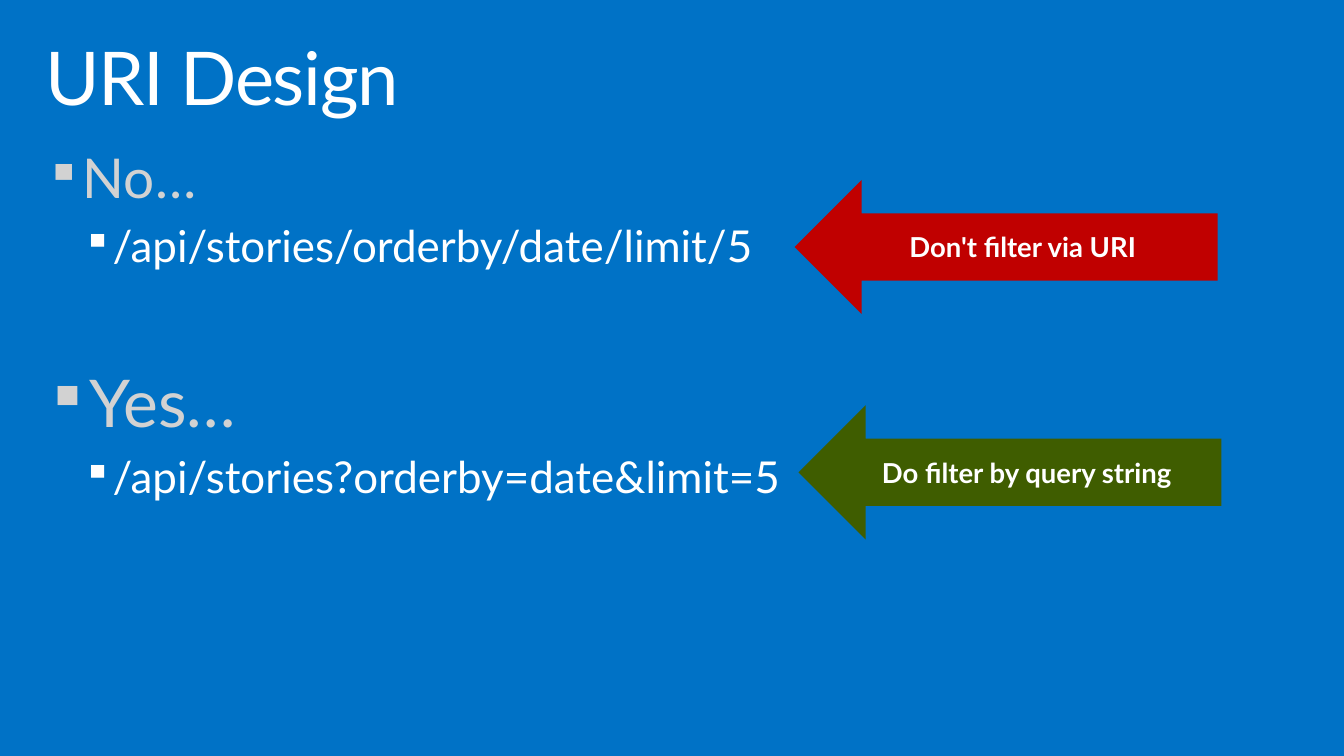
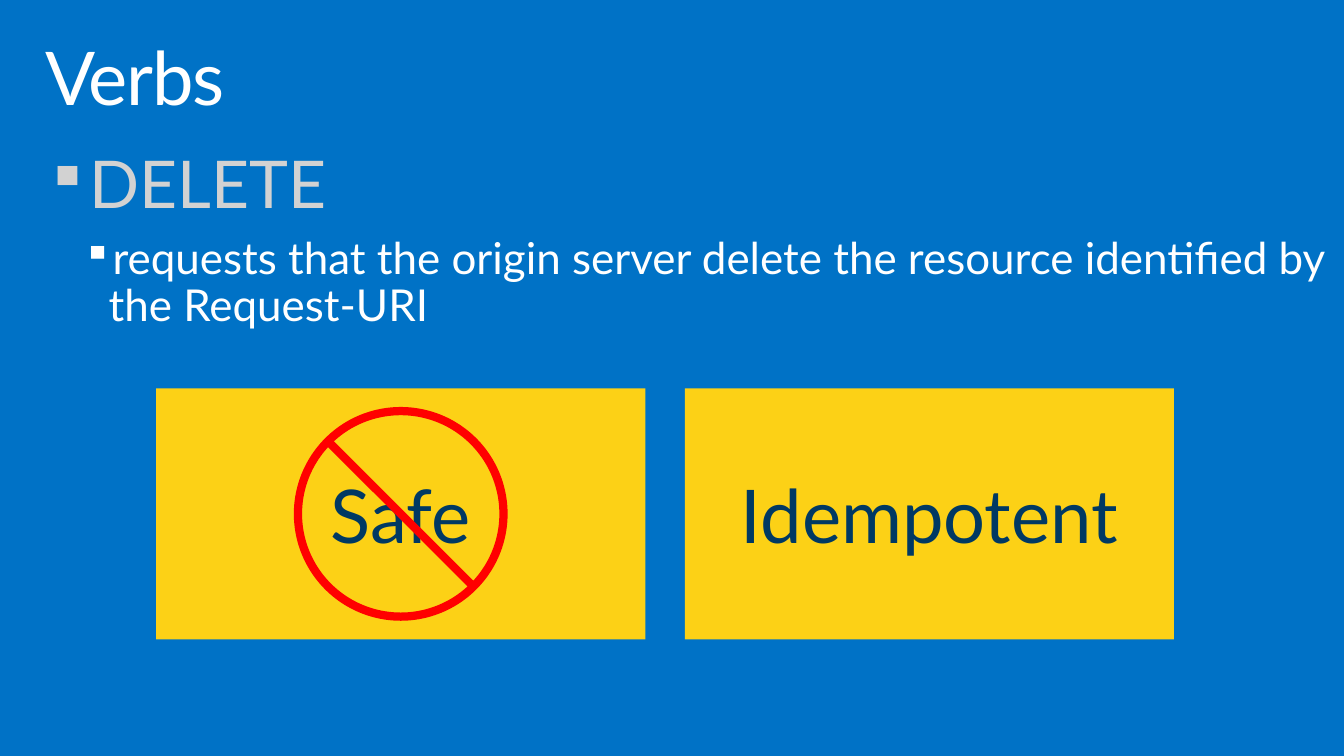
"""Build two slides on REST URI design and the DELETE verb."""
import math
from dataclasses import dataclass

from lxml import etree
from pptx import Presentation
from pptx.dml.color import RGBColor
from pptx.enum.shapes import MSO_CONNECTOR, MSO_SHAPE
from pptx.enum.text import MSO_ANCHOR, PP_ALIGN
from pptx.oxml.ns import qn
from pptx.util import Inches, Pt

RECTANGLE = MSO_SHAPE.RECTANGLE
LEFT_ARROW = MSO_SHAPE.LEFT_ARROW
OVAL = MSO_SHAPE.OVAL
STRAIGHT = MSO_CONNECTOR.STRAIGHT
TOP, MIDDLE = MSO_ANCHOR.TOP, MSO_ANCHOR.MIDDLE
LEFT, CENTER = PP_ALIGN.LEFT, PP_ALIGN.CENTER

SLIDE_WIDTH, SLIDE_HEIGHT = Inches(13.6), Inches(7.65)
COLUMN = SLIDE_WIDTH / 136
ROW = SLIDE_HEIGHT / 153
LEFT_COLUMN = 3


@dataclass(frozen=True)
class Theme:
    """Hold the colours, font and type sizes of the slides."""
    font: str = "Lato"
    background: str = "0072C6"
    white: str = "FFFFFF"
    heading: str = "D2D2D2"
    wrong: str = "C00000"
    right: str = "3F5D00"
    card: str = "FCD116"
    card_text: str = "003963"
    ban: str = "FF0000"
    display_size: int = 54
    heading_size: int = 48
    small_heading_size: int = 40
    detail_size: int = 32
    label_size: int = 20
    ban_width: int = 6
    line_spacing: float = 0.9
    space_before: int = 10
    section_space: int = 72


THEME = Theme()


def rgb(color):
    """Return a colour object for a hex string."""
    return RGBColor.from_string(color)


def grid_box(column, row, columns, rows):
    """Turn grid columns and rows into left, top, width and height."""
    return (round(column * COLUMN), round(row * ROW),
            round(columns * COLUMN), round(rows * ROW))


def set_frame(text_frame, horizontal, vertical, anchor):
    """Set wrapping, insets in inches and the vertical anchor."""
    text_frame.word_wrap = True
    text_frame.vertical_anchor = anchor
    text_frame.margin_left = text_frame.margin_right = Inches(horizontal)
    text_frame.margin_top = text_frame.margin_bottom = Inches(vertical)


def write_text(paragraph, text, size, color, bold=False, align=LEFT,
               line_spacing=None, space_before=0, tracking=None):
    """Write one formatted run into a paragraph."""
    paragraph.alignment = align
    paragraph.space_before = Pt(space_before)
    if line_spacing:
        paragraph.line_spacing = line_spacing
    run = paragraph.add_run()
    run.text = text
    font = run.font
    font.name, font.size, font.bold = THEME.font, Pt(size), bold
    font.color.rgb = rgb(color)
    if tracking is not None:
        run._r.get_or_add_rPr().set("spc", str(round(tracking * 100)))


def add_bullet(paragraph, color, indent, hanging):
    """Give a paragraph a square bullet and a hanging indent in inches."""
    properties = paragraph._p.get_or_add_pPr()
    properties.set("marL", str(Inches(indent)))
    properties.set("indent", str(-Inches(hanging)))
    bullet_color = etree.SubElement(properties, qn("a:buClr"))
    etree.SubElement(bullet_color, qn("a:srgbClr"), val=color)
    etree.SubElement(properties, qn("a:buSzPct"), val="90000")
    etree.SubElement(properties, qn("a:buChar"), char="▪")


def add_title_slide(presentation, title):
    """Add a blank slide with the shared background and title."""
    slide = presentation.slides.add_slide(presentation.slide_layouts[6])
    slide.background.fill.solid()
    slide.background.fill.fore_color.rgb = rgb(THEME.background)
    text_frame = slide.shapes.add_textbox(
        *grid_box(LEFT_COLUMN, 6.4, 130, 20)).text_frame
    set_frame(text_frame, 0.16, 0.1, TOP)
    write_text(text_frame.paragraphs[0], title, THEME.display_size, THEME.white,
               line_spacing=THEME.line_spacing, tracking=-1)
    return slide


def add_outline(slide, sections, rows):
    """Add headings, each with its size and one detail below it."""
    text_frame = slide.shapes.add_textbox(
        *grid_box(LEFT_COLUMN, 28.6, 133, rows)).text_frame
    set_frame(text_frame, 0.16, 0.1, TOP)
    for index, (heading, size, detail) in enumerate(sections):
        paragraph = (text_frame.add_paragraph() if index
                     else text_frame.paragraphs[0])
        add_bullet(paragraph, THEME.heading, 0.38, 0.38)
        write_text(paragraph, heading, size, THEME.heading,
                   line_spacing=THEME.line_spacing,
                   space_before=THEME.section_space if index else 0)
        paragraph = text_frame.add_paragraph()
        paragraph.level = 1
        add_bullet(paragraph, THEME.white, 0.64, 0.26)
        write_text(paragraph, detail, THEME.detail_size, THEME.white,
                   line_spacing=THEME.line_spacing,
                   space_before=THEME.space_before)


def add_label_shape(slide, kind, box, text, fill, size, color,
                    inset=0.1, bold=False):
    """Add a filled shape with a centred label."""
    shape = slide.shapes.add_shape(kind, *box)
    shape.shadow.inherit = False
    shape.fill.solid()
    shape.fill.fore_color.rgb = rgb(fill)
    shape.line.fill.background()
    set_frame(shape.text_frame, inset, 0.05, MIDDLE)
    write_text(shape.text_frame.paragraphs[0], text, size, color,
               bold=bold, align=CENTER)
    return shape


def add_ban_sign(slide, card, diameter):
    """Centre a ring with a diagonal bar on a card."""
    center_x = card.left + card.width // 2
    center_y = card.top + card.height // 2
    radius = diameter // 2
    ring = slide.shapes.add_shape(OVAL, center_x - radius, center_y - radius,
                                  diameter, diameter)
    ring.shadow.inherit = False
    ring.fill.background()
    reach = round(radius * math.cos(math.pi / 4))
    bar = slide.shapes.add_connector(
        STRAIGHT, center_x - reach, center_y - reach,
        center_x + reach, center_y + reach)
    etree.SubElement(bar._element.spPr, qn("a:effectLst"))
    for shape in (ring, bar):
        shape.line.color.rgb = rgb(THEME.ban)
        shape.line.width = Pt(THEME.ban_width)


def build_uri_slide(presentation):
    """Build the slide on filtering by query string."""
    slide = add_title_slide(presentation, "URI Design")
    add_outline(slide, [
        ("No…", THEME.small_heading_size, "/api/stories/orderby/date/limit/5"),
        ("Yes…", THEME.heading_size, "/api/stories?orderby=date&limit=5"),
    ], 75.8)
    for column, row, text, fill in (
            (80.4, 36.4, "Don't filter via URI", THEME.wrong),
            (80.8, 82, "Do filter by query string", THEME.right)):
        add_label_shape(slide, LEFT_ARROW, grid_box(column, row, 42.8, 27.2),
                        text, fill, THEME.label_size, THEME.white, bold=True)


def build_verbs_slide(presentation):
    """Build the slide on the DELETE verb."""
    slide = add_title_slide(presentation, "Verbs")
    add_outline(slide, [
        ("DELETE", THEME.heading_size,
         "requests that the origin server delete the resource "
         "identified by the Request-URI"),
    ], 40.8)
    card_columns, gap = 49.5, 4
    safe_card, _ = [
        add_label_shape(
            slide, RECTANGLE,
            grid_box(15.8 + index * (card_columns + gap), 78.6,
                     card_columns, 50.8),
            text, THEME.card, THEME.display_size, THEME.card_text, inset=0)
        for index, text in enumerate(("Safe", "Idempotent"))]
    add_ban_sign(slide, safe_card, round(20.8 * COLUMN))


def main():
    """Build and save the presentation."""
    presentation = Presentation()
    presentation.slide_width = SLIDE_WIDTH
    presentation.slide_height = SLIDE_HEIGHT
    build_uri_slide(presentation)
    build_verbs_slide(presentation)
    presentation.save("out.pptx")


if __name__ == "__main__":
    main()
